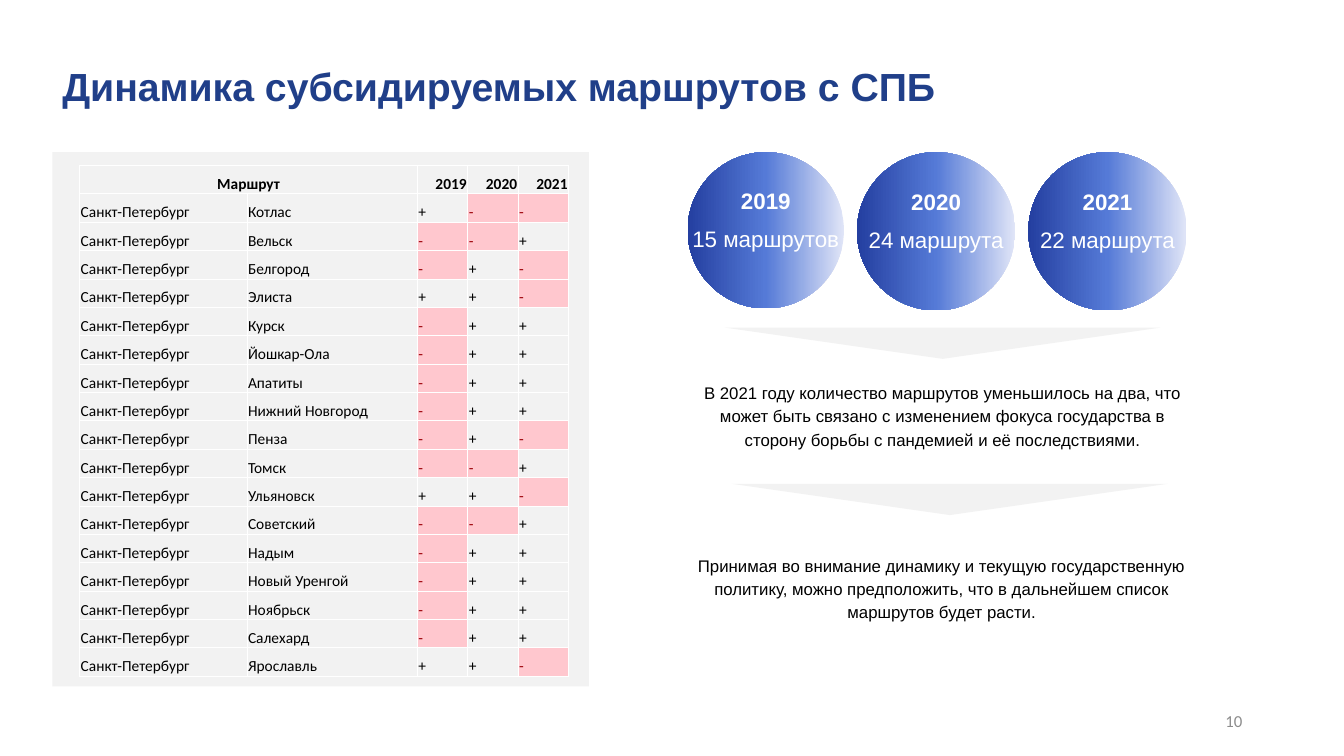
import copy
import dataclasses

import pptx
import pptx.dml.color
import pptx.enum.shapes
import pptx.enum.text
import pptx.oxml
import pptx.oxml.ns
import pptx.util

EMU_PER_PX = 9144  # 100 px to the inch

COLORS = {
    "title": "203F89",
    "text": "000000",
    "white": "FFFFFF",
    "panel": "F2F2F2",
    "page": "8C8C8C",
    "minus_fill": "FFC7CE",
    "minus_text": "9C0006",
}
CIRCLE_GRADIENT = [(0, "E0E5F7"), (0.5, "557AD7"), (1, "243FA0")]

ALIGN = pptx.enum.text.PP_ALIGN
ANCHOR = pptx.enum.text.MSO_ANCHOR
SHAPE = pptx.enum.shapes.MSO_SHAPE


@dataclasses.dataclass(frozen=True)
class Box:
    left: int
    top: int
    width: int
    height: int


@dataclasses.dataclass(frozen=True)
class Style:
    size: int
    color: str = "text"
    bold: bool = False
    font: str = "Arial"
    align: ALIGN = ALIGN.LEFT


@dataclasses.dataclass(frozen=True)
class YearCircle:
    year: str
    routes: str
    left: int
    diameter: int


@dataclasses.dataclass(frozen=True)
class Route:
    """A destination with its + or - mark for each year."""
    city: str
    marks: str


ORIGIN = "Санкт-Петербург"
YEARS = ["2019", "2020", "2021"]
COLUMN_WIDTHS = [166, 169, 50, 50, 50]
TABLE_BOX = Box(79, 164, 485, 507)
ROUTES = [
    Route("Котлас", "+--"),
    Route("Вельск", "--+"),
    Route("Белгород", "-+-"),
    Route("Элиста", "++-"),
    Route("Курск", "-++"),
    Route("Йошкар-Ола", "-++"),
    Route("Апатиты", "-++"),
    Route("Нижний Новгород", "-++"),
    Route("Пенза", "-+-"),
    Route("Томск", "--+"),
    Route("Ульяновск", "++-"),
    Route("Советский", "--+"),
    Route("Надым", "-++"),
    Route("Новый Уренгой", "-++"),
    Route("Ноябрьск", "-++"),
    Route("Салехард", "-++"),
    Route("Ярославль", "++-"),
]
CIRCLES = [
    YearCircle("2019", "15 маршрутов", 682, 155),
    YearCircle("2020", "24 маршрута", 850, 157),
    YearCircle("2021", "22 маршрута", 1020, 157),
]
CIRCLE_TOP = 151
ARROWS = [Box(719, 325, 432, 31), Box(726, 480, 432, 31)]
CONCLUSIONS = [
    (Box(682, 372, 506, 118),
     "В 2021 году количество маршрутов уменьшилось на два, что может быть связано "
     "с изменением фокуса государства в сторону борьбы с пандемией и её последствиями."),
    (Box(673, 543, 522, 78),
     "Принимая во внимание динамику и текущую государственную политику, можно "
     "предположить, что в дальнейшем список маршрутов будет расти."),
]


def px(value: int) -> pptx.util.Emu:
    return pptx.util.Emu(value * EMU_PER_PX)


def bounds(box: Box) -> list[pptx.util.Emu]:
    return [px(value) for value in dataclasses.astuple(box)]


def rgb(value: str) -> pptx.dml.color.RGBColor:
    return pptx.dml.color.RGBColor.from_string(value)


def write(paragraph, text: str, style: Style) -> None:
    paragraph.alignment = style.align
    run = paragraph.add_run()
    run.text = text
    run.font.name = style.font
    run.font.size = pptx.util.Pt(style.size)
    run.font.bold = style.bold
    run.font.color.rgb = rgb(COLORS[style.color])


def add_text(slide, box: Box, text: str, style: Style, anchor=ANCHOR.TOP):
    """Add a one-paragraph text box and return its text frame."""
    frame = slide.shapes.add_textbox(*bounds(box)).text_frame
    frame.word_wrap = True
    frame.vertical_anchor = anchor
    write(frame.paragraphs[0], text, style)
    return frame


def add_plain_shape(slide, kind: SHAPE, box: Box):
    shape = slide.shapes.add_shape(kind, *bounds(box))
    shape.shadow.inherit = False
    shape.line.fill.background()
    shape.fill.solid()
    shape.fill.fore_color.rgb = rgb(COLORS["panel"])
    return shape


def add_year_circle(slide, circle: YearCircle) -> None:
    box = Box(circle.left, CIRCLE_TOP, circle.diameter, circle.diameter)
    shape = add_plain_shape(slide, SHAPE.OVAL, box)
    shape.fill.gradient()
    shape.fill.gradient_angle = 180
    stop_list = shape.element.spPr.find(".//" + pptx.oxml.ns.qn("a:gsLst"))
    stop_list.append(copy.deepcopy(stop_list[0]))
    for stop, (position, color) in zip(shape.fill.gradient_stops, CIRCLE_GRADIENT):
        stop.position = position
        stop.color.rgb = rgb(color)

    frame = shape.text_frame
    frame.word_wrap = False
    frame.vertical_anchor = ANCHOR.MIDDLE
    frame.margin_left = frame.margin_right = frame.margin_top = 0
    frame.margin_bottom = px(22)
    write(frame.paragraphs[0], circle.year, Style(16, "white", True, align=ALIGN.CENTER))
    routes = frame.add_paragraph()
    routes.space_before = pptx.util.Pt(8)
    write(routes, circle.routes, Style(16, "white", align=ALIGN.CENTER))


def add_borders(cell) -> None:
    properties = cell._tc.get_or_add_tcPr()
    for index, side in enumerate(("lnL", "lnR", "lnT", "lnB")):
        properties.insert(index, pptx.oxml.parse_xml(
            f'<a:{side} {pptx.oxml.ns.nsdecls("a")} w="6350"><a:solidFill>'
            f'<a:srgbClr val="{COLORS["white"]}"/></a:solidFill></a:{side}>'))


def fill_cell(cell, text: str, style: Style) -> None:
    cell.vertical_anchor = ANCHOR.BOTTOM
    cell.margin_left = cell.margin_right = cell.margin_top = px(1)
    cell.margin_bottom = 0
    if text == "-":
        style = dataclasses.replace(style, color="minus_text")
        cell.fill.solid()
        cell.fill.fore_color.rgb = rgb(COLORS["minus_fill"])
    else:
        cell.fill.background()
    add_borders(cell)
    if text:
        write(cell.text_frame.paragraphs[0], text, style)


def add_route_table(slide) -> None:
    table = slide.shapes.add_table(
        len(ROUTES) + 1, len(COLUMN_WIDTHS), *bounds(TABLE_BOX)).table
    table.first_row = table.horz_banding = False
    for column, width in zip(table.columns, COLUMN_WIDTHS):
        column.width = px(width)
    table.cell(0, 0).merge(table.cell(0, 1))

    body = Style(11, font="Calibri")
    header = dataclasses.replace(body, bold=True, align=ALIGN.RIGHT)
    rows = [["Маршрут", "", *YEARS]]
    rows += [[ORIGIN, route.city, *route.marks] for route in ROUTES]
    for row_index, row in enumerate(rows):
        for column_index, text in enumerate(row):
            style = body if row_index else header
            fill_cell(table.cell(row_index, column_index), text, style)
    table.cell(0, 0).text_frame.paragraphs[0].alignment = ALIGN.CENTER


def main() -> None:
    presentation = pptx.Presentation()
    presentation.slide_width, presentation.slide_height = px(1333), px(750)
    slide = presentation.slides.add_slide(presentation.slide_layouts[6])

    title = add_text(slide, Box(52, 54, 954, 95), "Динамика субсидируемых маршрутов с СПБ",
                     Style(28, "title", True))
    title.margin_top = px(8)
    add_plain_shape(slide, SHAPE.RECTANGLE, Box(52, 151, 532, 530))
    add_route_table(slide)
    for circle in CIRCLES:
        add_year_circle(slide, circle)
    for box, text in CONCLUSIONS:
        frame = add_text(slide, box, text, Style(12, align=ALIGN.CENTER))
        frame.paragraphs[0].line_spacing = 1.15
    for box in ARROWS:
        arrow = add_plain_shape(slide, SHAPE.ISOSCELES_TRIANGLE, box)
        arrow.rotation = 180
    add_text(slide, Box(942, 695, 300, 40), "10",
             Style(12, "page", font="Calibri", align=ALIGN.RIGHT), ANCHOR.MIDDLE)

    presentation.save("out.pptx")


if __name__ == "__main__":
    main()
